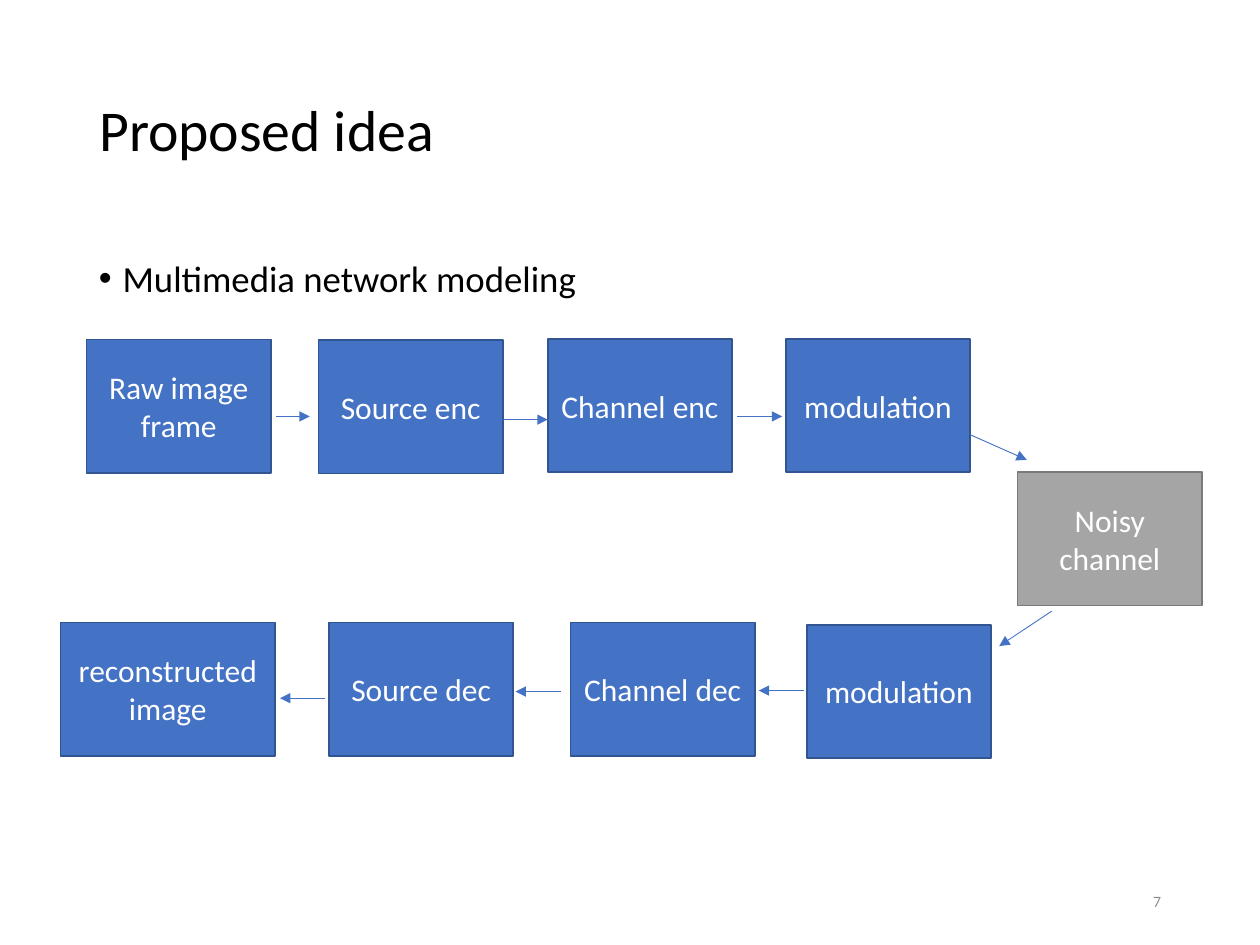
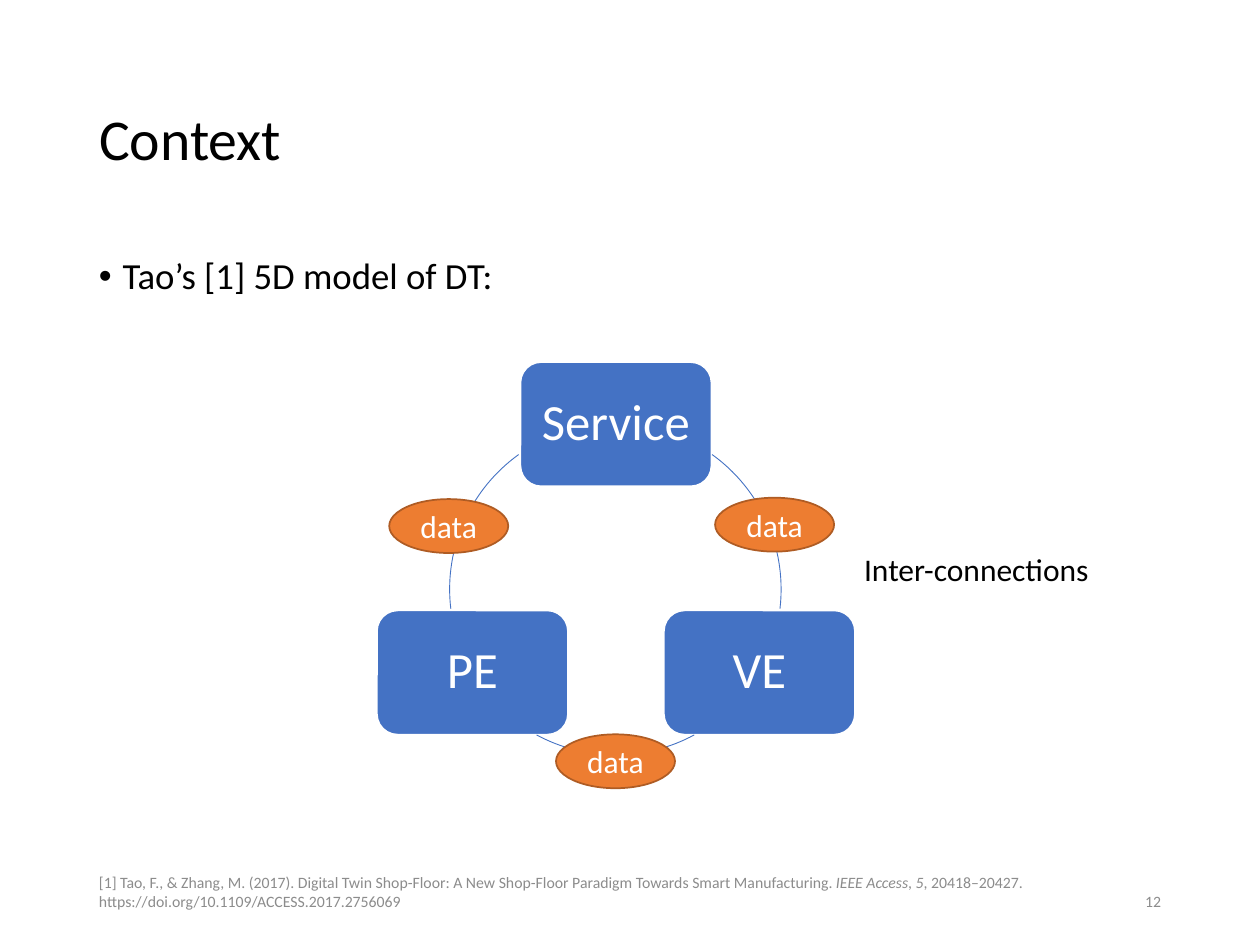
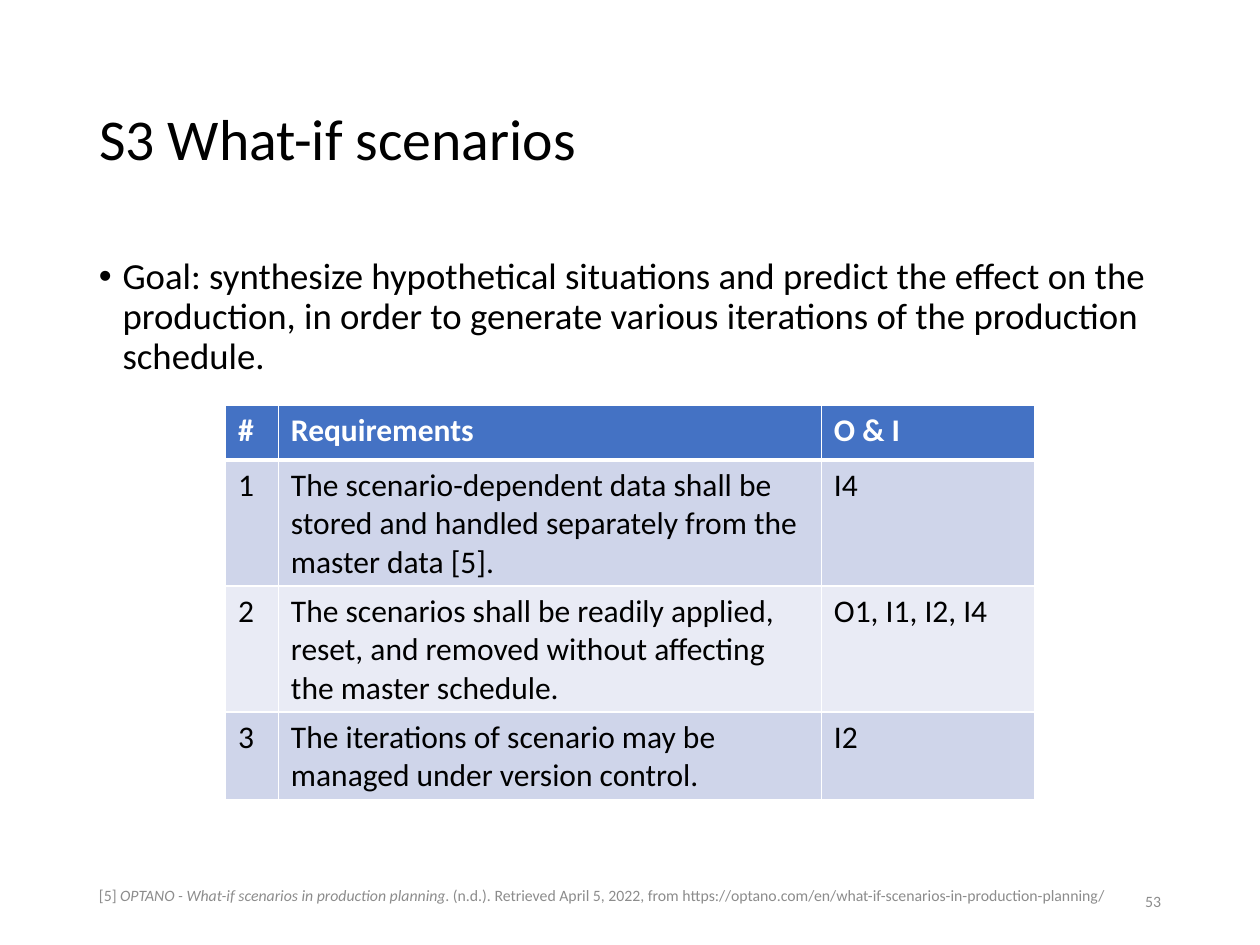
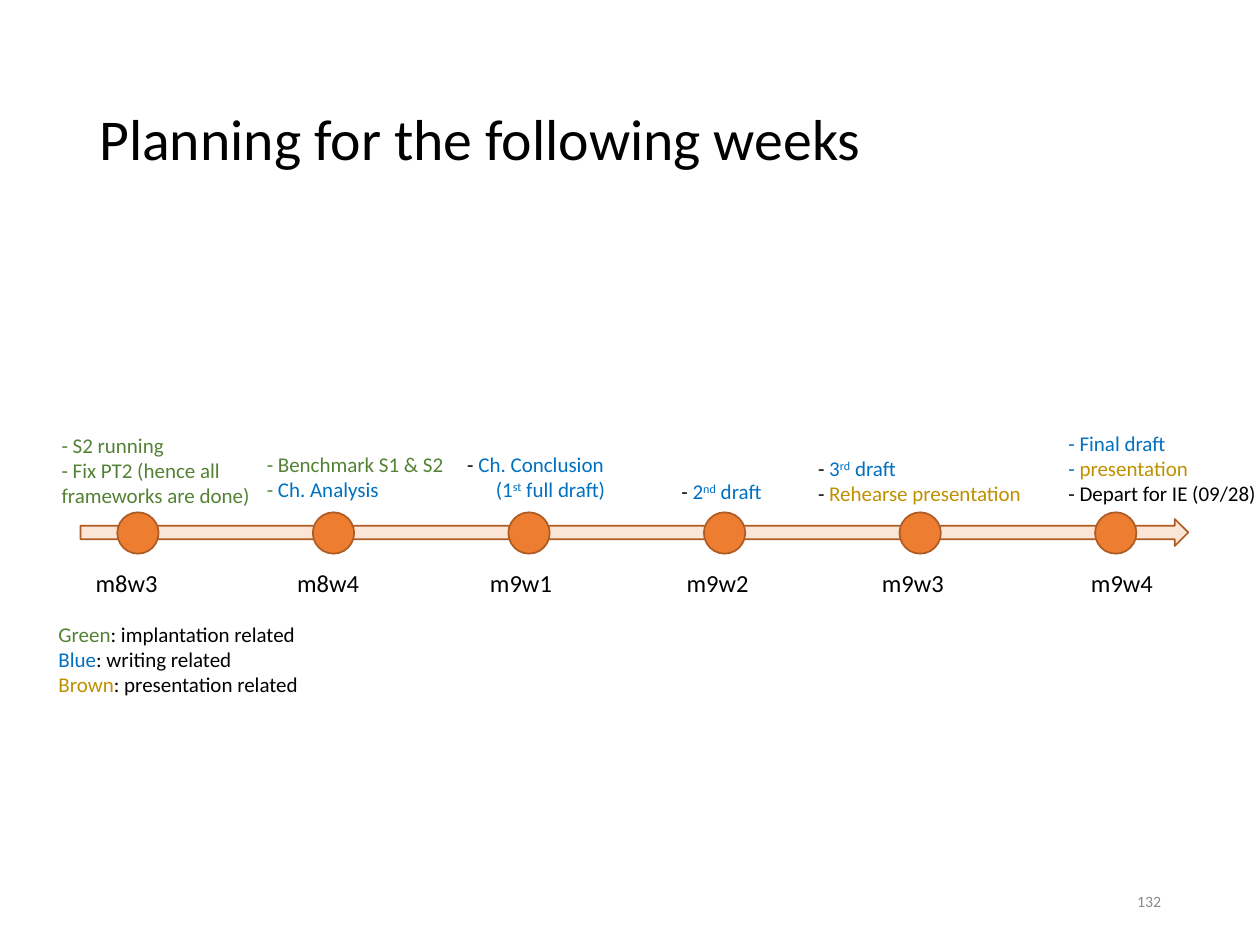
from dataclasses import dataclass

from lxml.etree import SubElement
from pptx import Presentation
from pptx.dml.color import RGBColor
from pptx.enum.shapes import MSO_CONNECTOR, MSO_SHAPE
from pptx.enum.text import MSO_ANCHOR, MSO_AUTO_SIZE, PP_ALIGN
from pptx.oxml.ns import qn
from pptx.util import Pt


@dataclass(frozen=True)
class Theme:
    font: str = "Calibri"
    # Colours
    black: str = "000000"
    white: str = "FFFFFF"
    muted: str = "8C8C8C"
    blue: str = "4472C4"
    blue_edge: str = "325491"
    gray: str = "A5A5A5"
    gray_edge: str = "7A7A7A"
    orange: str = "ED7D31"
    orange_edge: str = "AF5C24"
    orange_pale: str = "FBE5D6"
    band_dark: str = "CFD5EA"
    band_light: str = "E9EBF5"
    green_text: str = "548235"
    blue_text: str = "0070C0"
    brown_text: str = "BF9000"
    # Type sizes
    title: float = 33
    node: float = 29
    bullet: float = 21
    body: float = 18
    label: float = 14
    small: float = 12
    footer: float = 9


THEME = Theme()
GREEN = {"color": THEME.green_text}
BLUE = {"color": THEME.blue_text}
BROWN = {"color": THEME.brown_text}
RAISED = {**BLUE, "baseline": 30000}
ITALIC = {"italic": True}


def assign(target, values):
    for attribute, value in values.items():
        setattr(target, attribute, value)


def points(*lengths):
    return [Pt(length) for length in lengths]


class Deck:
    """Holds the theme and the slide being built; all lengths are points."""

    def __init__(self, theme):
        self.theme = theme
        self.prs = Presentation()
        assign(self.prs, {"slide_width": Pt(720), "slide_height": Pt(540)})
        self.slide = None

    # Text
    def typeset(self, frame, paragraphs, size, color=None, bold=False, **layout):
        """Fill a frame; a paragraph is a string or a list of runs."""
        for index, runs in enumerate(paragraphs):
            paragraph = frame.paragraphs[0] if index == 0 else frame.add_paragraph()
            assign(paragraph, layout)
            for run in [runs] if isinstance(runs, str) else runs:
                text, changes = (run, {}) if isinstance(run, str) else run
                look = {"name": self.theme.font, "size": Pt(size), "bold": bold,
                        "color": color or self.theme.black, **changes}
                tint, baseline = look.pop("color"), look.pop("baseline", None)
                part = paragraph.add_run()
                part.text = text
                assign(part.font, look)
                part.font.color.rgb = RGBColor.from_string(tint)
                if baseline:
                    part._r.get_or_add_rPr().set("baseline", str(baseline))

    def text(self, box, paragraphs, size, color=None, frame_format=None, **layout):
        frame = self.slide.shapes.add_textbox(*points(*box)).text_frame
        assign(frame, {"word_wrap": True, **(frame_format or {})})
        self.typeset(frame, paragraphs, size, color, **layout)
        return frame

    def note(self, box, paragraphs, size, color=None):
        return self.text(box, paragraphs, size, color,
                         {"auto_size": MSO_AUTO_SIZE.SHAPE_TO_FIT_TEXT})

    # Slide furniture
    def new_slide(self, title, number, top=28.8):
        self.slide = self.prs.slides.add_slide(self.prs.slide_layouts[5])
        heading = self.slide.shapes.title
        assign(heading, dict(zip(("left", "top", "width", "height"),
                                 points(49.5, top, 621, 104.4))))
        assign(heading.text_frame, {"vertical_anchor": MSO_ANCHOR.MIDDLE,
                                    "auto_size": MSO_AUTO_SIZE.NONE})
        self.typeset(heading.text_frame, [title], self.theme.title,
                     alignment=PP_ALIGN.LEFT, line_spacing=0.9)
        self.text((508.5, 500.5, 162, 28.8), [number], self.theme.footer,
                  self.theme.muted, {"vertical_anchor": MSO_ANCHOR.MIDDLE},
                  alignment=PP_ALIGN.RIGHT)

    def bullet(self, content, top=144):
        frame = self.text((49.5, top, 621, 342.6), [content], self.theme.bullet,
                          line_spacing=0.9)
        properties = frame.paragraphs[0]._p.get_or_add_pPr()
        properties.set("marL", str(Pt(13.5)))
        properties.set("indent", str(-Pt(13.5)))
        SubElement(properties, qn("a:buFont")).set("typeface", "Arial")
        SubElement(properties, qn("a:buChar")).set("char", "•")

    def citation(self, box, runs):
        # The deep bottom inset lifts the reference within its box
        self.text(box, [runs], self.theme.footer, self.theme.muted,
                  {"vertical_anchor": MSO_ANCHOR.MIDDLE, "margin_bottom": Pt(14.6)})

    # Shapes
    def shape(self, kind, box, fill, edge, label=None, size=None, width=1, **layout):
        item = self.slide.shapes.add_shape(kind, *points(*box))
        item.shadow.inherit = False
        if fill:
            item.fill.solid()
            item.fill.fore_color.rgb = RGBColor.from_string(fill)
        else:
            item.fill.background()
        item.line.color.rgb = RGBColor.from_string(edge)
        item.line.width = Pt(width)
        if label:
            item.text_frame.vertical_anchor = MSO_ANCHOR.MIDDLE
            self.typeset(item.text_frame, [label], size or self.theme.body,
                         self.theme.white, alignment=PP_ALIGN.CENTER, **layout)
        return item

    def arc(self, box, start, end):
        curve = self.shape(MSO_SHAPE.ARC, box, None, self.theme.blue, width=0.5)
        # Angles are kept in 60000ths of a degree, adjustments in 100000ths
        for index, degrees in enumerate((start, end)):
            curve.adjustments[index] = degrees * 0.6

    def arrow(self, *ends):
        link = self.slide.shapes.add_connector(MSO_CONNECTOR.STRAIGHT, *points(*ends))
        link.line.color.rgb = RGBColor.from_string(self.theme.blue)
        link.line.width = Pt(0.5)
        SubElement(link.line._get_or_add_ln(), qn("a:tailEnd")).set("type", "triangle")
        SubElement(link._element.spPr, qn("a:effectLst"))

    # Table
    def border(self, cell, widths):
        properties = cell._tc.get_or_add_tcPr()
        for position, (side, width) in enumerate(widths.items()):
            edge = SubElement(properties, qn(f"a:ln{side}"))
            edge.set("w", str(Pt(width)))
            fill = SubElement(edge, qn("a:solidFill"))
            SubElement(fill, qn("a:srgbClr")).set("val", self.theme.white)
            properties.remove(edge)
            properties.insert(position, edge)

    def table(self, left, top, widths, heights, rows):
        t = self.theme
        grid = self.slide.shapes.add_table(
            len(rows), len(widths),
            *points(left, top, sum(widths), sum(heights))).table
        grid.horz_banding = False
        for column, width in zip(grid.columns, widths):
            column.width = Pt(width)
        for r, (height, values) in enumerate(zip(heights, rows)):
            grid.rows[r].height = Pt(height)
            header = r == 0
            band = t.blue if header else t.band_dark if r % 2 else t.band_light
            for c, value in enumerate(values):
                cell = grid.cell(r, c)
                cell.fill.solid()
                cell.fill.fore_color.rgb = RGBColor.from_string(band)
                self.typeset(cell.text_frame, [value], t.body,
                             t.white if header else t.black, bold=header)
                self.border(cell, {"L": 1, "R": 1, "T": 3 if r == 1 else 1,
                                   "B": 3 if header else 1})


def network_slide(deck):
    t = deck.theme
    deck.new_slide("Proposed idea", "7", top=23.8)
    deck.bullet("Multimedia network modeling", top=145.4)
    # Sending stages, channel, receiving stages
    box_width, box_height = 105.4, 76.2
    stages = [
        (49.5, 194, "Raw image frame"), (182, 194.4, "Source enc"),
        (313, 193.6, "Channel enc"), (449, 193.6, "modulation"),
        (581.5, 269.8, "Noisy channel"),
        (461, 357, "modulation"), (326, 355.8, "Channel dec"),
        (188, 355.8, "Source dec"), (34.6, 355.8, "reconstructed image"),
    ]
    for left, top, stage in stages:
        noisy = stage == "Noisy channel"
        width = 122.6 if stage.startswith("reconstructed") else box_width
        deck.shape(MSO_SHAPE.RECTANGLE, (left, top, width, box_height),
                   t.gray if noisy else t.blue,
                   t.gray_edge if noisy else t.blue_edge, stage)
    # Signal flow
    for ends in [
        (157.5, 238, 177, 238), (287.5, 239.8, 313, 239.8),
        (421.4, 238, 447, 238), (554.4, 248.4, 586.8, 262.8),
        (601, 349.2, 571, 369.2), (459.4, 394.6, 433.6, 394.6),
        (320.4, 395.2, 294.6, 395.2), (185.8, 399, 160, 399),
    ]:
        deck.arrow(*ends)


def context_slide(deck):
    t = deck.theme
    deck.new_slide("Context", "12")
    deck.bullet("Tao’s [1] 5D model of DT:")
    deck.citation((49.5, 500.5, 600.5, 28.8), [
        "[1] Tao, F., & Zhang, M. (2017). Digital Twin Shop-Floor: A New Shop-Floor "
        "Paradigm Towards Smart Manufacturing. ",
        ("IEEE Access", ITALIC), ", ", ("5", ITALIC),
        ", 20418–20427. https://doi.org/10.1109/ACCESS.2017.2756069"])
    # Dimensions on a ring
    for left, top, dimension in [(297.4, 206.9, "Service"), (379.4, 348.8, "VE"),
                                 (215.4, 348.8, "PE")]:
        deck.shape(MSO_SHAPE.ROUNDED_RECTANGLE, (left, top, 109.2, 71), t.blue,
                   t.white, dimension, t.node, line_spacing=0.9)
    for start, end in [(305.7, 6.8), (61.6, 118.4), (173.2, 234.3)]:
        deck.arc((257, 242, 189.4, 189.4), start, end)
    # Data on each link
    for left, top in [(408.6, 284.4), (317.7, 419.6), (222.4, 285.2)]:
        deck.shape(MSO_SHAPE.OVAL, (left, top, 68, 30.8), t.orange,
                   t.orange_edge, "data")
    deck.note((486.7, 311, 175, 29), ["Inter-connections"], t.body)


def scenarios_slide(deck):
    deck.new_slide("S3 What-if scenarios", "53")
    deck.bullet("Goal: synthesize hypothetical situations and predict the effect on the "
                "production, in order to generate various iterations of the production "
                "schedule.")
    deck.citation((49.5, 505.4, 607, 23.8), [
        "[5] ", ("OPTANO - What-if scenarios in production planning", ITALIC),
        ". (n.d.). Retrieved April 5, 2022, from "
        "https://optano.com/en/what-if-scenarios-in-production-planning/"])
    deck.table(128.9, 231.8, (30.2, 310.3, 121.7), (31, 44.6, 46, 44.6), [
        ("#", "Requirements", "O & I"),
        ("1", "The scenario-dependent data shall be stored and handled separately "
              "from the master data [5].", "I4"),
        ("2", "The scenarios shall be readily applied, reset, and removed without "
              "affecting the master schedule.", "O1, I1, I2, I4"),
        ("3", "The iterations of scenario may be managed under version control.", "I2"),
    ])


def planning_slide(deck):
    t = deck.theme
    deck.new_slide("Planning for the following weeks", "132")
    # Timeline and week labels
    deck.shape(MSO_SHAPE.RIGHT_ARROW, (46, 296.6, 633, 15.4), t.orange_pale,
               t.orange_edge)
    weeks = [(47.5, "m8w3"), (162.7, "m8w4"), (272.9, "m9w1"),
             (385.2, "m9w2"), (496.8, "m9w3"), (616.3, "m9w4")]
    for index, (left, week) in enumerate(weeks):
        deck.shape(MSO_SHAPE.OVAL, (67 + 111.75 * index, 292.8, 23.6, 23.6),
                   t.orange, t.orange_edge)
        deck.note((left, 321.2, 65.5, 24.2), [week], t.label)
    # Tasks per week, then the colour key
    deck.note((28.1, 243.4, 125.3, 51), [
        "- S2 running", "- Fix PT2 (hence all frameworks are done)"],
        t.small, t.green_text)
    deck.note((145.4, 254.4, 125.3, 36.4), [
        [("- Benchmark S1 & S2", GREEN)],
        [("- ", GREEN), ("Ch. Analysis", BLUE)]], t.small)
    conclusion = deck.note((259.9, 254.4, 142.6, 36.4), [
        ["- ", ("Ch. Conclusion", BLUE)],
        [("(1", BLUE), ("st", RAISED), (" full draft)", BLUE)]], t.small)
    conclusion.paragraphs[1]._p.get_or_add_pPr().set("marL", str(Pt(16.3)))
    deck.note((603.4, 242.2, 157.7, 51), [
        [("- Final draft", BLUE)],
        [("- ", BLUE), ("presentation", BROWN)],
        "- Depart for IE (09/28)"], t.small)
    deck.note((382.3, 270, 125.3, 21.8), [
        ["- ", ("2", BLUE), ("nd", RAISED), (" draft", BLUE)]], t.small)
    deck.note((460.4, 256.8, 136, 36.4), [
        ["- ", ("3", BLUE), ("rd", RAISED), (" draft", BLUE)],
        ["- ", ("Rehearse presentation", BROWN)]], t.small)
    deck.note((26.3, 351.4, 193, 51), [
        [("Green", GREEN), ": implantation related"],
        [("Blue", BLUE), ": writing related"],
        [("Brown", BROWN), ": presentation related"]], t.small)


def main():
    deck = Deck(THEME)
    for build in (network_slide, context_slide, scenarios_slide, planning_slide):
        build(deck)
    deck.prs.save("out.pptx")


if __name__ == "__main__":
    main()
